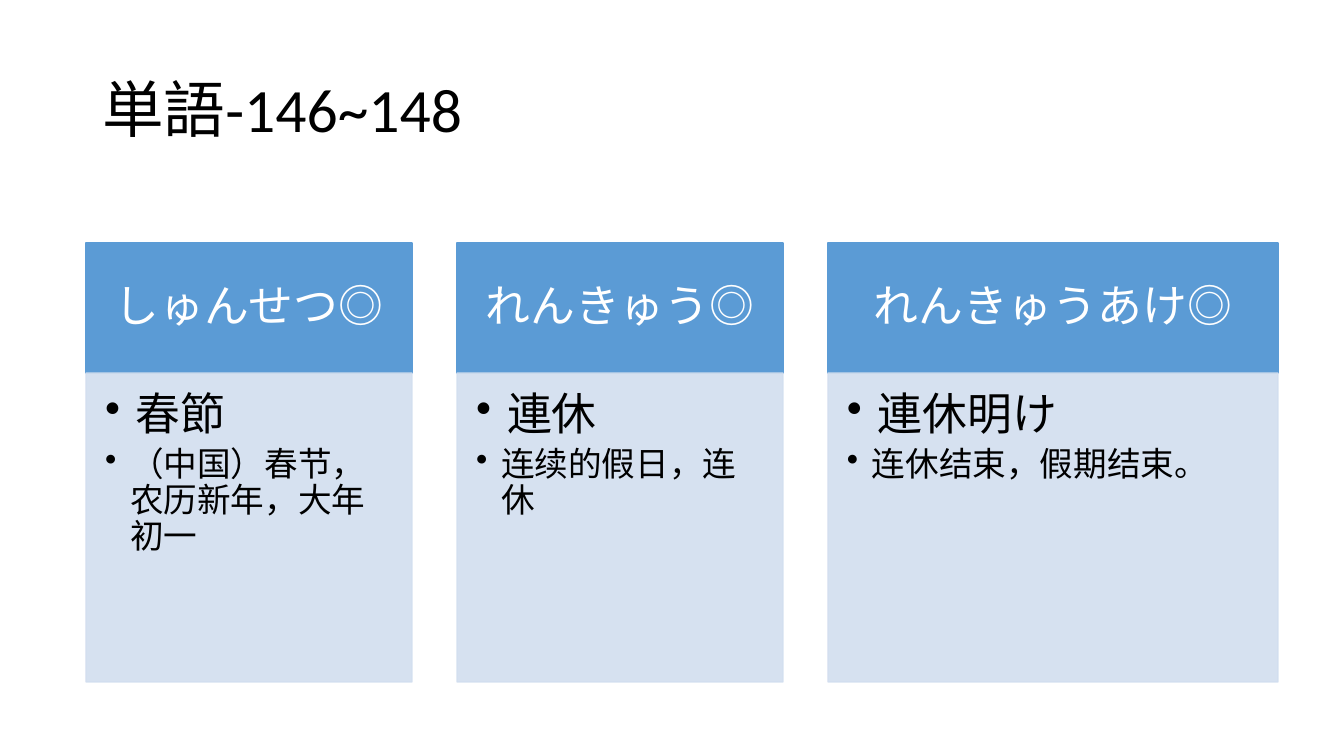
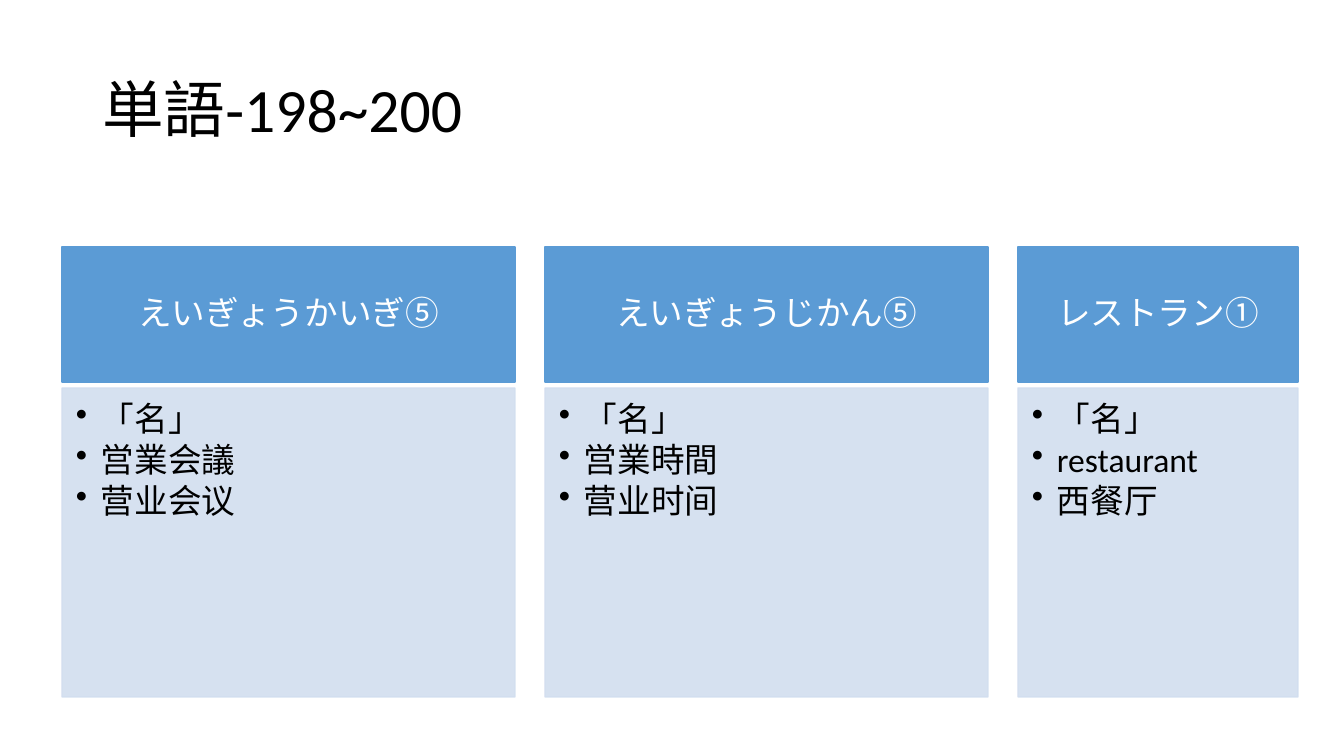
import dataclasses

import pptx
import pptx.dml.color
import pptx.enum.shapes
import pptx.enum.text
import pptx.oxml.ns
import pptx.oxml.xmlchemy
import pptx.presentation
import pptx.shapes.autoshape
import pptx.slide
import pptx.text.text
import pptx.util
from lxml import etree

PX = 12192000 / 1344


def px(length: int) -> pptx.util.Emu:
    return pptx.util.Emu(round(length * PX))


@dataclasses.dataclass(frozen=True)
class Theme:
    font: str = "Calibri"
    ink: str = "000000"
    header_ink: str = "FFFFFF"
    header_fill: str = "5B9BD5"
    body_fill: str = "D2DEEF"
    body_alpha: int = 90
    title_size: int = 44
    large_size: int = 32
    small_size: int = 24
    line_spacing: float = 0.9
    space_after: float = 0.15


THEME = Theme()


@dataclasses.dataclass(frozen=True)
class Insets:
    left: int
    top: int
    right: int
    bottom: int


@dataclasses.dataclass(frozen=True)
class CardStyle:
    left: int
    gap: int
    header_top: int
    header_height: int
    body_top: int
    body_height: int
    header_size: int
    header_insets: Insets
    body_insets: Insets


@dataclasses.dataclass(frozen=True)
class Item:
    text: str
    size: int = THEME.small_size


@dataclasses.dataclass(frozen=True)
class Card:
    width: int
    header: str
    items: tuple[Item, ...]


@dataclasses.dataclass(frozen=True)
class WordPage:
    title: str
    style: CardStyle
    cards: tuple[Card, ...]


LARGE_CARDS = CardStyle(86, 45, 243, 130, 373, 309, THEME.large_size,
                        Insets(25, 14, 25, 14), Insets(19, 19, 25, 28))
SMALL_CARDS = CardStyle(62, 30, 247, 135, 388, 309, THEME.small_size,
                        Insets(19, 11, 19, 11), Insets(14, 14, 19, 21))

PAGES = (
    WordPage("単語-146~148", LARGE_CARDS, (
        Card(326, "しゅんせつ◎", (
            Item("春節", THEME.large_size),
            Item("（中国）春节，农历新年，大年初一"))),
        Card(326, "れんきゅう◎", (
            Item("連休", THEME.large_size),
            Item("连续的假日，连休"))),
        Card(450, "れんきゅうあけ◎", (
            Item("連休明け", THEME.large_size),
            Item("连休结束，假期结束。"))),
    )),
    WordPage("単語-198~200", SMALL_CARDS, (
        Card(453, "えいぎょうかいぎ⑤",
             (Item("「名」"), Item("営業会議"), Item("营业会议"))),
        Card(443, "えいぎょうじかん⑤",
             (Item("「名」"), Item("営業時間"), Item("营业时间"))),
        Card(280, "レストラン①",
             (Item("「名」"), Item("restaurant"), Item("西餐厅"))),
    )),
)


def write(para: pptx.text.text._Paragraph, text: str, size: int, color: str,
          align: pptx.enum.text.PP_ALIGN) -> None:
    para.text = text
    para.alignment = align
    para.line_spacing = THEME.line_spacing
    for span in para.runs:
        span.font.name = THEME.font
        span.font.size = pptx.util.Pt(size)
        span.font.color.rgb = pptx.dml.color.RGBColor.from_string(color)


def add_bullet(para: pptx.text.text._Paragraph, size: int) -> None:
    indent = px(31 if size == THEME.large_size else 25)
    properties = para._p.get_or_add_pPr()
    properties.set("marL", str(indent))
    properties.set("indent", str(-indent))
    bullet = etree.SubElement(properties, pptx.oxml.ns.qn("a:buChar"))
    bullet.set("char", "•")


def set_alpha(box: pptx.shapes.autoshape.Shape, percent: int) -> None:
    for color in box._element.spPr.iter(pptx.oxml.ns.qn("a:srgbClr")):
        alpha = etree.SubElement(color, pptx.oxml.ns.qn("a:alpha"))
        alpha.set("val", str(percent * 1000))


def add_box(page: pptx.slide.Slide, left: int, top: int, width: int, height: int,
            fill: str, insets: Insets,
            anchor: pptx.enum.text.MSO_ANCHOR) -> pptx.shapes.autoshape.Shape:
    box = page.shapes.add_shape(pptx.enum.shapes.MSO_SHAPE.RECTANGLE,
                                px(left), px(top), px(width), px(height))
    color = pptx.dml.color.RGBColor.from_string(fill)
    box.shadow.inherit = False
    box.fill.solid()
    box.fill.fore_color.rgb = color
    box.line.color.rgb = color
    box.line.width = pptx.util.Pt(1)
    frame = box.text_frame
    frame.word_wrap = True
    frame.vertical_anchor = anchor
    frame.margin_left, frame.margin_top = px(insets.left), px(insets.top)
    frame.margin_right, frame.margin_bottom = px(insets.right), px(insets.bottom)
    return box


def add_card(page: pptx.slide.Slide, card: Card, left: int, style: CardStyle) -> None:
    header = add_box(page, left, style.header_top, card.width, style.header_height,
                     THEME.header_fill, style.header_insets,
                     pptx.enum.text.MSO_ANCHOR.MIDDLE)
    write(header.text_frame.paragraphs[0], card.header, style.header_size,
          THEME.header_ink, pptx.enum.text.PP_ALIGN.CENTER)

    body = add_box(page, left, style.body_top, card.width, style.body_height,
                   THEME.body_fill, style.body_insets, pptx.enum.text.MSO_ANCHOR.TOP)
    set_alpha(body, THEME.body_alpha)
    frame = body.text_frame
    for index, item in enumerate(card.items):
        para = frame.add_paragraph() if index else frame.paragraphs[0]
        write(para, item.text, item.size, THEME.ink, pptx.enum.text.PP_ALIGN.LEFT)
        para.space_after = pptx.util.Pt(item.size * THEME.space_after)
        add_bullet(para, item.size)


def set_title(page: pptx.slide.Slide, text: str) -> None:
    title = page.shapes.title
    title.left, title.top, title.width, title.height = px(92), px(40), px(1159), px(146)
    frame = title.text_frame
    frame.auto_size = pptx.enum.text.MSO_AUTO_SIZE.NONE
    frame.vertical_anchor = pptx.enum.text.MSO_ANCHOR.MIDDLE
    write(frame.paragraphs[0], text, THEME.title_size, THEME.ink,
          pptx.enum.text.PP_ALIGN.LEFT)


def add_word_page(deck: pptx.presentation.Presentation, words: WordPage) -> None:
    page = deck.slides.add_slide(deck.slide_layouts.get_by_name("Title Only"))
    set_title(page, words.title)
    left = words.style.left
    for card in words.cards:
        add_card(page, card, left, words.style)
        left += card.width + words.style.gap


def main() -> None:
    deck = pptx.Presentation()
    deck.slide_width, deck.slide_height = px(1344), px(756)
    for words in PAGES:
        add_word_page(deck, words)
    deck.save("out.pptx")


if __name__ == "__main__":
    main()
